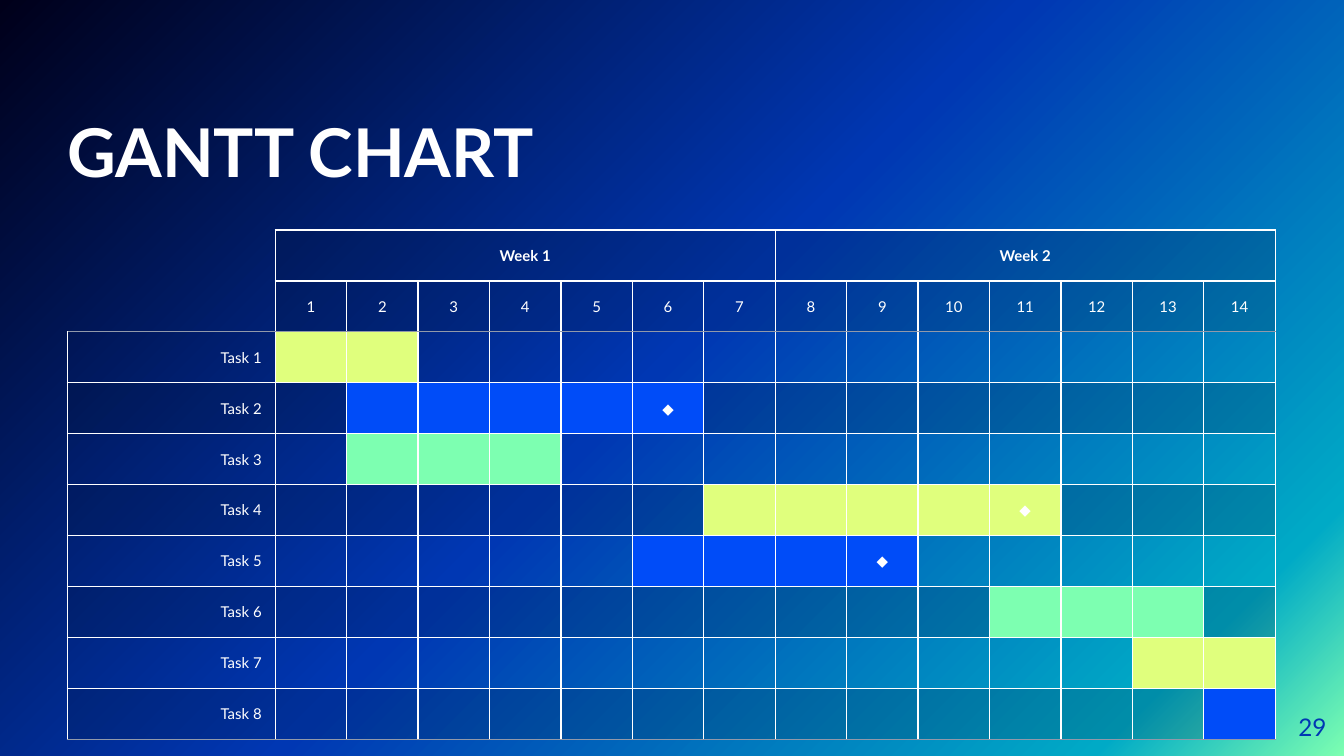
from dataclasses import dataclass
from typing import Optional

from lxml import etree
from pptx import Presentation
from pptx import util as u
from pptx.dml.color import RGBColor
from pptx.enum import text
from pptx.oxml import parse_xml
from pptx.oxml.ns import nsdecls, qn

COLORS = {
    "white": "FFFFFF",
    "grey": "9199AA",
    "shade": "001230",
    "lime": "E0FF7D",
    "blue": "004CF8",
    "mint": "7DFFB1",
    "teal": "00AAC6",
    "navy": "0037B3",
    "night": "00001A",
}
BACKGROUND_STOPS = [(0, "mint"), (12, "teal"), (51, "navy"), (100, "night")]
FONT = "Lato"
NO_GRID_STYLE = "{2D5ABB26-0587-4C30-8999-92F81FD0307C}"
DAYS = 14
DAYS_PER_WEEK = 7
HEADER_ROWS = 2
LABEL_WIDTH = u.Pt(111.43)
DAY_WIDTH = u.Pt(38.28)
ROW_HEIGHT = u.Pt(27.32)


@dataclass
class Label:
    text: str
    left: float
    top: float
    width: float
    height: float
    size: float
    color: str
    align: text.PP_ALIGN
    anchor: text.MSO_ANCHOR
    bold: bool = False


@dataclass
class Task:
    first_day: int
    last_day: int
    color: str
    milestone: Optional[int] = None


LABELS = [
    Label("GANTT CHART", 36, 34.56, 474.5, 67.7, 36, "white",
          text.PP_ALIGN.LEFT, text.MSO_ANCHOR.BOTTOM, True),
    Label("29", 667.4, 373.7, 43.2, 31, 13, "navy",
          text.PP_ALIGN.RIGHT, text.MSO_ANCHOR.MIDDLE),
]
TASKS = [
    Task(1, 2, "lime"),
    Task(2, 6, "blue", 6),
    Task(2, 4, "mint"),
    Task(7, 11, "lime", 11),
    Task(6, 9, "blue", 9),
    Task(11, 13, "mint"),
    Task(13, 14, "lime"),
    Task(14, 14, "blue"),
]


def set_background(slide) -> None:
    stops = "".join(
        f'<a:gs pos="{position * 1000}"><a:srgbClr val="{COLORS[name]}"/></a:gs>'
        for position, name in BACKGROUND_STOPS
    )
    slide.background.fill.solid()
    solid = slide.background._cSld.find(".//" + qn("a:solidFill"))
    gradient = parse_xml(
        f'<a:gradFill rotWithShape="1" {nsdecls("a")}><a:gsLst>{stops}</a:gsLst>'
        '<a:lin ang="13500000" scaled="0"/></a:gradFill>'
    )
    solid.getparent().replace(solid, gradient)


def write(paragraph, content: str, size: float, color: str,
          align: text.PP_ALIGN, bold: bool = False) -> None:
    paragraph.alignment = align
    run = paragraph.add_run()
    run.text = content
    run.font.name = FONT
    run.font.size = u.Pt(size)
    run.font.bold = bold
    run.font.color.rgb = RGBColor.from_string(COLORS[color])


def add_label(slide, label: Label) -> None:
    shape = slide.shapes.add_textbox(
        u.Pt(label.left), u.Pt(label.top), u.Pt(label.width), u.Pt(label.height))
    frame = shape.text_frame
    frame.word_wrap = True
    frame.vertical_anchor = label.anchor
    frame.margin_left = frame.margin_right = frame.margin_top = frame.margin_bottom = 0
    write(frame.paragraphs[0], label.text, label.size, label.color, label.align, label.bold)


def set_borders(cell, borders: dict[str, str]) -> None:
    properties = cell._tc.get_or_add_tcPr()
    for side in "LRTB":
        if side in borders:
            line = etree.SubElement(properties, qn(f"a:ln{side}"), w=str(u.Pt(0.75)))
            fill = etree.SubElement(line, qn("a:solidFill"))
            etree.SubElement(fill, qn("a:srgbClr"), val=COLORS[borders[side]])


def set_fill(cell, color: Optional[str]) -> None:
    if color is None:
        cell.fill.background()
        return
    cell.fill.solid()
    cell.fill.fore_color.rgb = RGBColor.from_string(COLORS[color])
    if color == "shade":
        value = cell._tc.tcPr.find(qn("a:solidFill")).find(qn("a:srgbClr"))
        etree.SubElement(value, qn("a:alpha"), val="19000")


def cell_borders(row: int, column: int) -> dict[str, str]:
    last_row = HEADER_ROWS + len(TASKS) - 1
    top = "grey" if row == HEADER_ROWS else "white"
    bottom = "grey" if row in (HEADER_ROWS - 1, last_row) else "white"
    if row < HEADER_ROWS and column == 0:
        return {"R": "white"} if row == 0 else {"R": "white", "B": bottom}
    return {"L": "white", "R": "white", "T": top, "B": bottom}


def cell_fill(row: int, column: int) -> Optional[str]:
    if row < HEADER_ROWS:
        return "shade" if column else None
    task = TASKS[row - HEADER_ROWS]
    if task.first_day <= column <= task.last_day:
        return task.color
    return "shade" if row % 2 else None


def cell_text(row: int, column: int) -> str:
    if row == 0:
        week, day = divmod(column - 1, DAYS_PER_WEEK)
        return f"Week {week + 1}" if column and day == 0 else ""
    if row < HEADER_ROWS:
        return str(column) if column else ""
    if column == 0:
        return f"Task {row - HEADER_ROWS + 1}"
    return "◆" if TASKS[row - HEADER_ROWS].milestone == column else ""


def add_gantt_table(slide) -> None:
    row_count, column_count = HEADER_ROWS + len(TASKS), DAYS + 1
    frame = slide.shapes.add_table(
        row_count, column_count, u.Pt(36), u.Pt(123.2),
        LABEL_WIDTH + DAYS * DAY_WIDTH, row_count * ROW_HEIGHT)
    table = frame.table
    table.first_row = table.horz_banding = False
    table._tbl.tblPr.find(qn("a:tableStyleId")).text = NO_GRID_STYLE
    for index, column in enumerate(table.columns):
        column.width = DAY_WIDTH if index else LABEL_WIDTH
    for first in range(1, DAYS + 1, DAYS_PER_WEEK):
        table.cell(0, first).merge(table.cell(0, first + DAYS_PER_WEEK - 1))
    for row_index, row in enumerate(table.rows):
        row.height = ROW_HEIGHT
        for column_index, cell in enumerate(row.cells):
            set_borders(cell, cell_borders(row_index, column_index))
            set_fill(cell, cell_fill(row_index, column_index))
            cell.vertical_anchor = text.MSO_ANCHOR.MIDDLE
            paragraph = cell.text_frame.paragraphs[0]
            content = cell_text(row_index, column_index)
            if content:
                align = text.PP_ALIGN.CENTER if column_index else text.PP_ALIGN.RIGHT
                write(paragraph, content, 8, "white", align, row_index == 0)
            else:
                etree.SubElement(paragraph._p, qn("a:endParaRPr"), sz="800")


def main() -> None:
    presentation = Presentation()
    presentation.slide_width = u.Pt(720)
    presentation.slide_height = u.Pt(405)
    slide = presentation.slides.add_slide(presentation.slide_layouts[6])
    set_background(slide)
    for label in LABELS:
        add_label(slide, label)
    add_gantt_table(slide)
    presentation.save("out.pptx")


if __name__ == "__main__":
    main()
